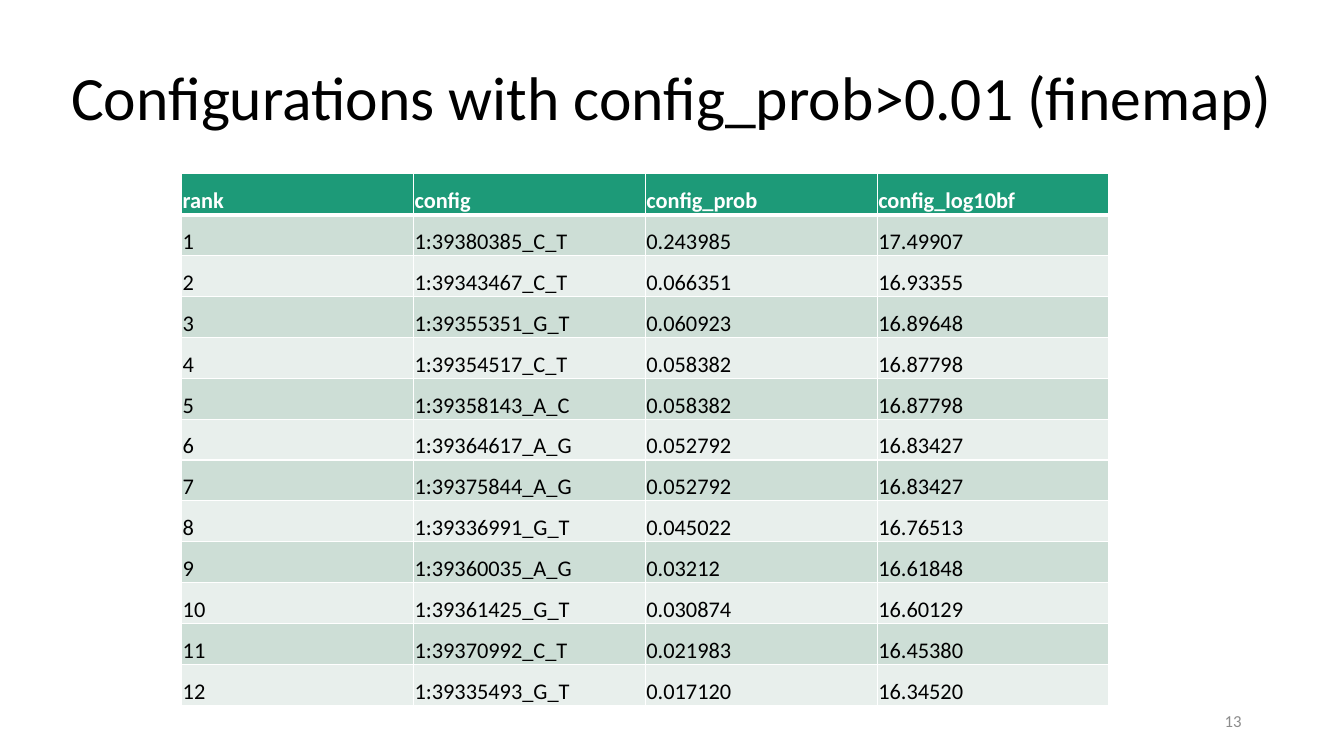
from lxml import etree
from pptx import Presentation, util as u
from pptx.dml.color import RGBColor
from pptx.enum import text
from pptx.oxml import ns

FONT = "Calibri"
WHITE, BLACK, GREY = "FFFFFF", "000000", "8C8C8C"
HEADER_FILL, BAND_FILLS = "1D9A78", ("CDDED6", "E8EFEC")

HEADER = ("rank", "config", "config_prob", "config_log10bf")
CONFIGS = [
    ("1:39380385_C_T", "0.243985", "17.49907"),
    ("1:39343467_C_T", "0.066351", "16.93355"),
    ("1:39355351_G_T", "0.060923", "16.89648"),
    ("1:39354517_C_T", "0.058382", "16.87798"),
    ("1:39358143_A_C", "0.058382", "16.87798"),
    ("1:39364617_A_G", "0.052792", "16.83427"),
    ("1:39375844_A_G", "0.052792", "16.83427"),
    ("1:39336991_G_T", "0.045022", "16.76513"),
    ("1:39360035_A_G", "0.03212", "16.61848"),
    ("1:39361425_G_T", "0.030874", "16.60129"),
    ("1:39370992_C_T", "0.021983", "16.45380"),
    ("1:39335493_G_T", "0.017120", "16.34520"),
]


def rgb(value):
    return RGBColor.from_string(value)


def style(p, size, color, bold=False):
    p.font.name = FONT
    p.font.size = u.Pt(size)
    p.font.bold = bold
    p.font.color.rgb = rgb(color)


def add_text(s, box, words, size, color, align, spacing=1.0):
    tf = s.shapes.add_textbox(*map(u.Pt, box)).text_frame
    tf.word_wrap = True
    tf.vertical_anchor = text.MSO_ANCHOR.MIDDLE
    p = tf.paragraphs[0]
    p.text = words
    p.alignment = align
    p.line_spacing = spacing
    style(p, size, color)


def set_borders(cell, color, widths):
    tc_pr = cell._tc.get_or_add_tcPr()
    for i, (side, width) in enumerate(widths.items()):
        ln = etree.Element(ns.qn(f"a:ln{side}"), w=str(u.Pt(width)))
        fill = etree.SubElement(ln, ns.qn("a:solidFill"))
        etree.SubElement(fill, ns.qn("a:srgbClr"), val=color)
        tc_pr.insert(i, ln)


def fill_cell(cell, words, fill, color, bold, top, bottom):
    cell.margin_left = cell.margin_right = cell.margin_top = u.Pt(0.75)
    cell.margin_bottom = 0
    cell.vertical_anchor = text.MSO_ANCHOR.BOTTOM
    cell.fill.solid()
    cell.fill.fore_color.rgb = rgb(fill)
    p = cell.text_frame.paragraphs[0]
    p.text = words
    style(p, 16, color, bold)
    set_borders(cell, WHITE, {"L": 1, "R": 1, "T": top, "B": bottom})


def add_config_table(s, box):
    rows = [HEADER] + [(str(rank), *c) for rank, c in enumerate(CONFIGS, 1)]
    left, top, width, height = box
    table = s.shapes.add_table(len(rows), len(HEADER), *map(u.Pt, box)).table
    for column in table.columns:
        column.width = u.Pt(width / len(HEADER))
    for i, values in enumerate(rows):
        table.rows[i].height = u.Pt(height / len(rows))
        head = i == 0
        fill = HEADER_FILL if head else BAND_FILLS[(i - 1) % 2]
        for j, value in enumerate(values):
            fill_cell(table.cell(i, j), value, fill, WHITE if head else BLACK,
                      head, 3 if i == 1 else 1, 3 if head else 1)


def main():
    prs = Presentation()
    prs.slide_width, prs.slide_height = u.Pt(960), u.Pt(540)
    s = prs.slides.add_slide(prs.slide_layouts[6])
    add_text(s, (37.5, 32.4, 885, 78.5),
             "Configurations with config_prob>0.01 (finemap)",
             44, BLACK, text.PP_ALIGN.CENTER, 0.9)
    add_config_table(s, (129.8, 124.2, 662.4, 379.6))
    add_text(s, (678, 500.5, 216, 28.75), "13", 12, GREY, text.PP_ALIGN.RIGHT)
    prs.save("out.pptx")


if __name__ == "__main__":
    main()
